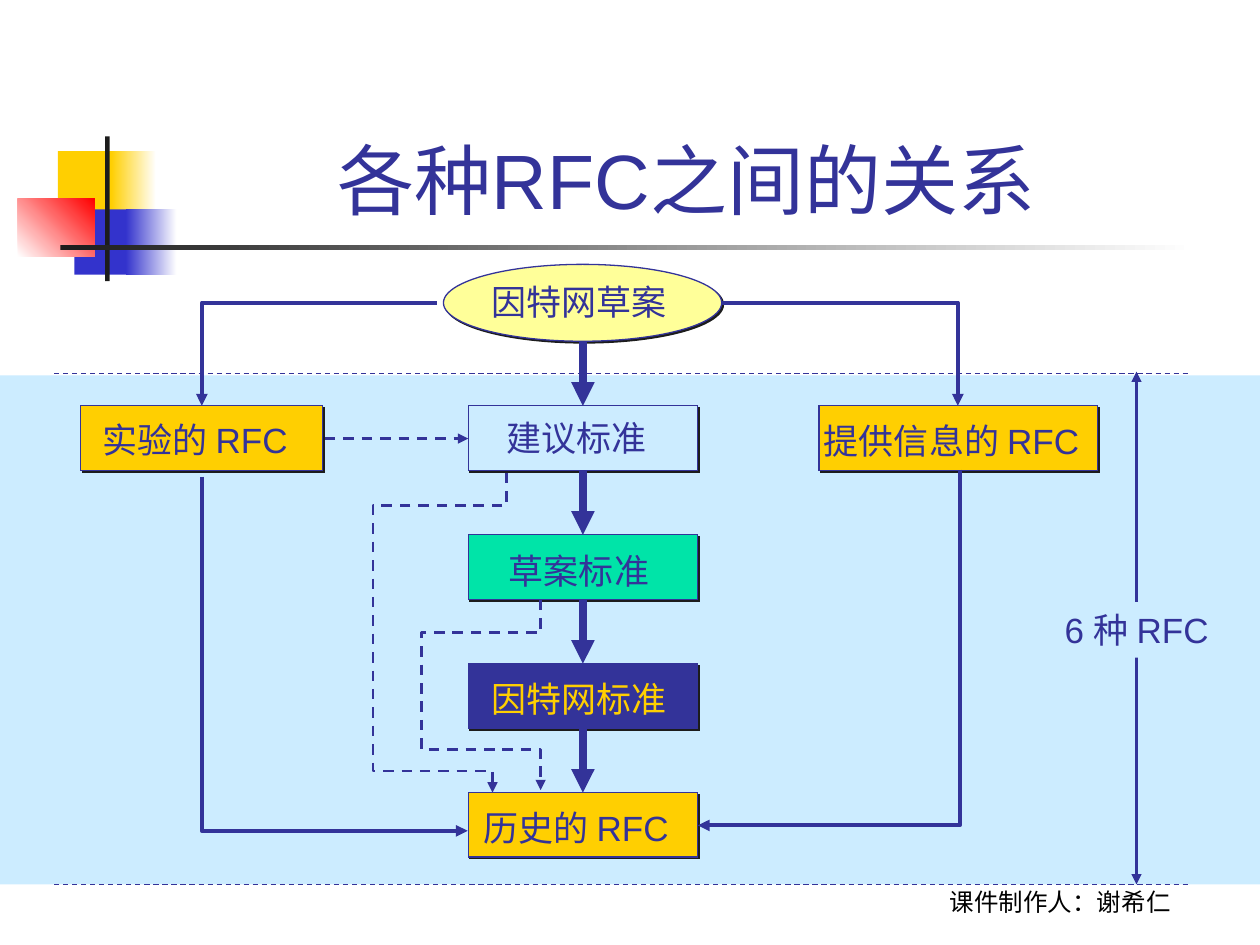
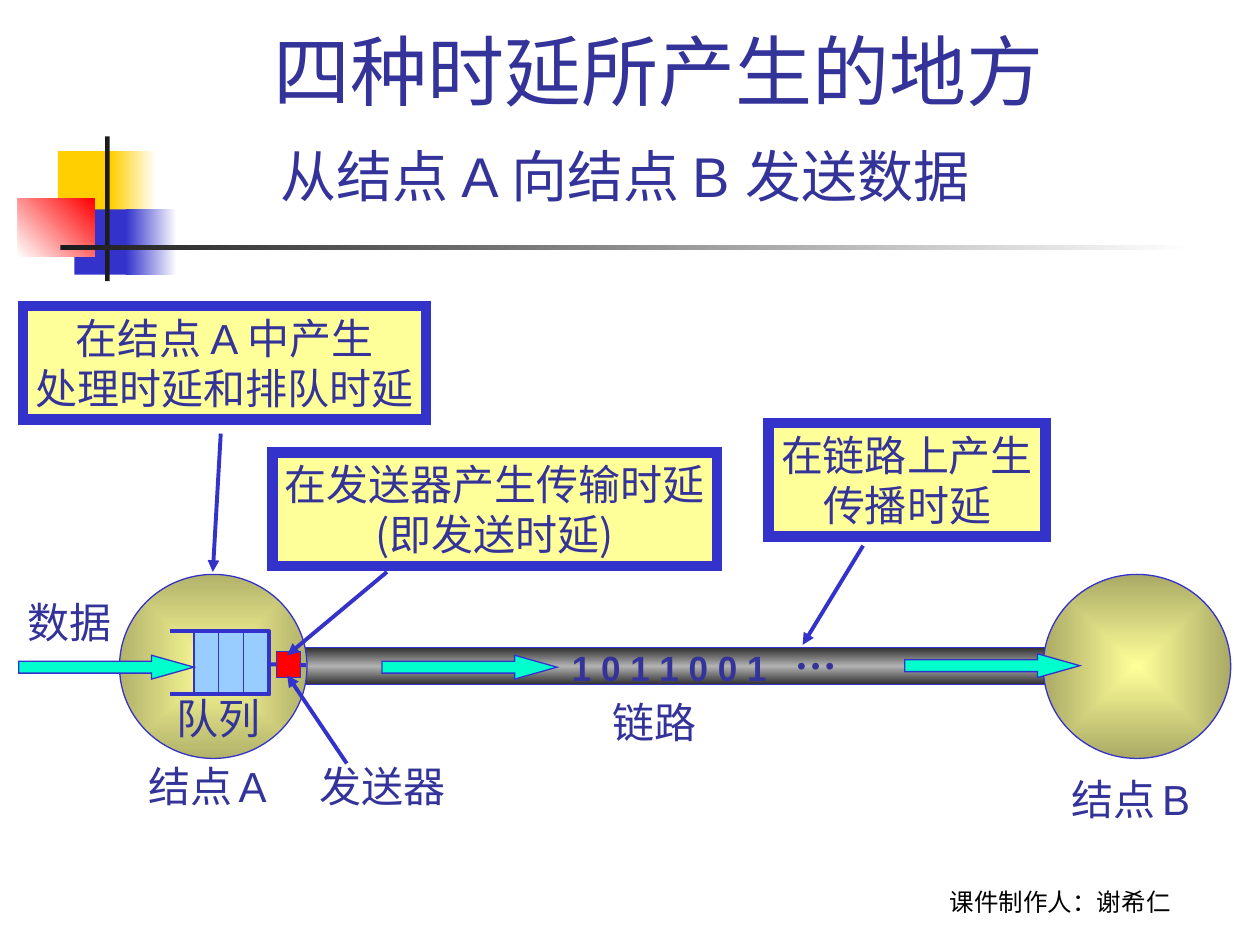
"""Build two networking slides: how RFCs relate and where delays arise."""
from dataclasses import dataclass

from pptx import Presentation
from pptx.dml.color import RGBColor
from pptx.enum.dml import MSO_LINE_DASH_STYLE as Dash
from pptx.enum.lang import MSO_LANGUAGE_ID as Language
from pptx.enum.shapes import MSO_CONNECTOR as Connector, MSO_SHAPE as Shape
from pptx.enum.text import MSO_ANCHOR as Anchor, MSO_AUTO_SIZE as AutoSize, PP_ALIGN as Align
from pptx.oxml import parse_xml
from pptx.oxml.ns import nsdecls, qn
from pptx.util import Cm, Pt


@dataclass(frozen=True)
class Theme:
    ink: str = "333399"
    blue: str = "3333CC"
    gold: str = "FFCF01"
    red: str = "FF0000"
    dark: str = "1C1C1C"
    white: str = "FFFFFF"
    black: str = "000000"
    sky: str = "CCECFF"
    green: str = "00E4A8"
    yellow: str = "FFFF99"
    queue: str = "99CCFF"
    aqua: str = "00FFCC"
    olive_a: str = "B2B26B"
    olive_b: str = "AAAA66"
    tube_edge: str = "313131"
    tube_core: str = "B2B2B2"
    sans: str = "Arial"
    serif: str = "Times New Roman"
    chinese: str = "Noto Sans CJK SC"
    footer: str = "Roboto"
    title_size: int = 44
    subtitle_size: int = 32
    label_size: int = 24
    node_size: int = 20
    gap_size: int = 16
    footer_size: int = 14


@dataclass(frozen=True)
class Gradient:
    colors: tuple
    angle: int | None = 0


T = Theme()
WIDTH, HEIGHT = 25.4, 19.05

DECORATION = [
    ((1.17, 3.05, 1.22, 1.32), T.gold),
    ((2.24, 3.05, 0.91, 1.32), Gradient((T.gold, T.white))),
    ((1.5, 4.22, 1.17, 1.32), T.blue),
    ((2.54, 4.22, 1.02, 1.32), Gradient((T.blue, T.white))),
    ((0.36, 4.01, 1.55, 1.17), Gradient((T.white, T.red), 315)),
    ((2.12, 2.75, 0.09, 2.92), T.dark),
    ((1.22, 4.94, 22.86, 0.1), Gradient((T.dark, T.white))),
]
FOOTER = "课件制作人：谢希仁"

BAND_TOP, BAND_BOTTOM = 7.57, 17.83
TRACK_LEFT, TRACK_WIDTH, TRACK_TOP, TRACK_STEP = 9.44, 4.62, 8.18, 2.6
NODE_HEIGHT = 1.3
DRAFT = (8.94, 5.33, 5.61, 1.55)
TRACK_FILLS = [T.sky, T.green, T.ink, T.gold]
SIDE_NODES = [(16.51, 5.61), (1.63, 4.88)]
SOLID_ROUTES = [
    [(14.55, 6.1), (19.31, 6.1), (19.31, 8.18)],
    [(8.81, 6.1), (4.07, 6.1), (4.07, 8.18)],
    [(4.07, 9.61), (4.07, 16.75), (9.43, 16.75)],
    [(19.35, 9.47), (19.35, 16.64), (14.07, 16.64)],
]
DASHED_ROUTES = [
    [(10.21, 9.53), (10.21, 10.19), (7.52, 10.19), (7.52, 15.54),
     (9.93, 15.54), (9.93, 15.98)],
    [(10.9, 12.09), (10.9, 12.75), (8.5, 12.75), (8.5, 15.11),
     (10.9, 15.11), (10.9, 15.93)],
]
RFC_LABELS = [
    ("因特网草案", 9.65, 5.54, 4.04, T.ink, None),
    ("建议标准", 9.96, 8.28, 3.33, T.ink, None),
    ("草案标准", 10.01, 10.95, 3.33, T.ink, None),
    ("因特网标准", 9.65, 13.54, 4.04, T.gold, T.ink),
    ("历史的 RFC", 9.5, 16.13, 4.4, T.ink, None),
    ("实验的 RFC", 1.82, 8.31, 4.4, T.ink, None),
    ("提供信息的 RFC", 16.36, 8.33, 5.82, T.ink, None),
    ("6 种 RFC", 21.21, 12.14, 3.76, T.ink, T.sky),
]

HOSTS = [(2.41, T.olive_a), (21.03, T.olive_b)]
QUEUE_LEFT, QUEUE_TOP, QUEUE_BOTTOM, QUEUE_STEP = 3.91, 12.73, 14.0, 0.5
DATA_ARROWS = [(7.7, 13.21), (0.38, 13.21), (18.24, 13.18)]


def host_name(letter):
    return ["结点", (" ", T.sans, T.gap_size), (letter, T.sans, T.label_size)]


DELAY_LABELS = [
    ("发送器", 6.2, 15.21, 3.05),
    ("队列", 3.3, 13.84, 2.2),
    (host_name("B"), 21.36, 15.47, 3.02),
    (host_name("A"), 2.74, 15.21, 3.02),
    ("数据", 0.3, 11.91, 2.2),
    ("链路", 12.1, 13.92, 2.2),
]
CALLOUTS = [
    ((15.49, 8.53, 5.59, 2.29), ["在链路上产生", "传播时延"]),
    ((5.49, 9.12, 8.97, 2.29), ["在发送器产生传输时延", "(即发送时延)"]),
    ((0.46, 6.17, 8.13, 2.29),
     [["在结点 ", ("A ", T.sans, T.label_size), "中产生"], "处理时延和排队时延"]),
]
POINTERS = [
    ((17.4, 11.0), (16.18, 13.0)),
    ((7.8, 11.53), (5.79, 13.21)),
    ((6.99, 15.39), (5.79, 13.61)),
    ((4.45, 8.74), (4.29, 11.53)),
]


def rgb(color):
    return RGBColor.from_string(color)


def paint(shape, fill):
    if fill is None:
        shape.fill.background()
    elif isinstance(fill, Gradient):
        last = len(fill.colors) - 1
        stops = "".join(
            f'<a:gs pos="{100000 * i // last}"><a:srgbClr val="{color}"/></a:gs>'
            for i, color in enumerate(fill.colors))
        if fill.angle is None:
            direction = ('<a:path path="rect"><a:fillToRect l="50000" t="50000" '
                         'r="50000" b="50000"/></a:path>')
        else:
            direction = f'<a:lin ang="{fill.angle * 60000}" scaled="0"/>'
        shape.fill.background()
        properties = shape._element.spPr
        properties.replace(properties.find(qn("a:noFill")), parse_xml(
            f'<a:gradFill {nsdecls("a")} rotWithShape="1">'
            f'<a:gsLst>{stops}</a:gsLst>{direction}</a:gradFill>'))
    else:
        shape.fill.solid()
        shape.fill.fore_color.rgb = rgb(fill)


def outline(line, color, width, dashed=False, ends=()):
    line.color.rgb = rgb(color)
    line.width = Pt(width)
    if dashed:
        line.dash_style = Dash.DASH
    for end in ends:
        line._get_or_add_ln().append(
            parse_xml(f'<a:{end} {nsdecls("a")} type="triangle"/>'))


def add_shape(slide, kind, box, fill, line=None, width=0.75):
    shape = slide.shapes.add_shape(kind, *map(Cm, box))
    shape.shadow.inherit = False
    paint(shape, fill)
    if line:
        outline(shape.line, line, width)
        shape.line._get_or_add_ln().append(
            parse_xml(f'<a:miter {nsdecls("a")} lim="800000"/>'))
    else:
        shape.line.fill.background()
    return shape


def add_node(slide, kind, box, fill):
    shape = add_shape(slide, kind, box, fill, T.ink)
    shape._element.spPr.find(qn("a:effectLst")).append(parse_xml(
        f'<a:outerShdw {nsdecls("a")} blurRad="0" dist="17960" dir="2700000" '
        f'algn="ctr" rotWithShape="0"><a:srgbClr val="{T.dark}"/></a:outerShdw>'))


def add_line(slide, start, end, color, width, dashed=False, ends=()):
    connector = slide.shapes.add_connector(
        Connector.STRAIGHT, *map(Cm, (*start, *end)))
    connector._element.spPr.append(parse_xml(f'<a:effectLst {nsdecls("a")}/>'))
    outline(connector.line, color, width, dashed, ends)


def add_route(slide, points, color, width, dashed=False, ends=("tailEnd",)):
    first, *rest = [(Cm(x), Cm(y)) for x, y in points]
    builder = slide.shapes.build_freeform(*first)
    builder.add_line_segments(rest, close=False)
    route = builder.convert_to_shape()
    route.shadow.inherit = False
    paint(route, None)
    outline(route.line, color, width, dashed, ends)


def write(shape, paragraphs, face, size, color=T.ink, bold=False,
          align=Align.LEFT, anchor=Anchor.TOP, wrap=False):
    frame = shape.text_frame
    frame.word_wrap = wrap
    frame.auto_size = AutoSize.NONE if wrap else AutoSize.SHAPE_TO_FIT_TEXT
    frame.vertical_anchor = anchor
    for index, content in enumerate(paragraphs):
        paragraph = frame.add_paragraph() if index else frame.paragraphs[0]
        paragraph.alignment = align
        font = paragraph.font
        font.name, font.size, font.bold = face, Pt(size), bold
        font.color.rgb = rgb(color)
        for part in [content] if isinstance(content, str) else content:
            run = paragraph.add_run()
            run.font.language_id = Language.SIMPLIFIED_CHINESE
            if isinstance(part, str):
                run.text = part
            else:
                run.text, run.font.name = part[:2]
                run.font.size = Pt(part[2])


def add_text(slide, box, content, face, size, fill=None, **style):
    text_box = slide.shapes.add_textbox(*map(Cm, box))
    if fill:
        paint(text_box, fill)
    write(text_box, [content], face, size, **style)


def start_slide(presentation, title, title_box):
    slide = presentation.slides.add_slide(presentation.slide_layouts[6])
    for box, fill in DECORATION:
        add_shape(slide, Shape.RECTANGLE, box, fill)
    centred = dict(align=Align.CENTER, anchor=Anchor.BOTTOM, wrap=True)
    add_text(slide, (17.35, 17.32, 8.05, 1.27), FOOTER, T.footer, T.footer_size,
             color=T.black, **centred)
    add_text(slide, title_box, title, T.sans, T.title_size, **centred)
    return slide


def build_rfc_slide(presentation):
    slide = start_slide(presentation, "各种RFC之间的关系", (3.02, 0.6, 21.64, 4.06))
    add_shape(slide, Shape.RECTANGLE,
              (0, BAND_TOP, WIDTH, BAND_BOTTOM - BAND_TOP), T.sky)
    tops = [TRACK_TOP + TRACK_STEP * i for i in range(len(TRACK_FILLS))]
    for top, fill in zip(tops, TRACK_FILLS):
        add_node(slide, Shape.RECTANGLE,
                 (TRACK_LEFT, top, TRACK_WIDTH, NODE_HEIGHT), fill)
    for left, width in SIDE_NODES:
        add_node(slide, Shape.RECTANGLE, (left, TRACK_TOP, width, NODE_HEIGHT), T.gold)
    add_node(slide, Shape.OVAL, DRAFT, T.yellow)

    middle = TRACK_LEFT + TRACK_WIDTH / 2
    bottoms = [DRAFT[1] + DRAFT[3]] + [top + NODE_HEIGHT for top in tops]
    for bottom, top in zip(bottoms, tops):
        add_line(slide, (middle, bottom), (middle, top), T.ink, 4.5, ends=["tailEnd"])
    for points in SOLID_ROUTES:
        add_route(slide, points, T.ink, 2.25)
    add_line(slide, (6.55, 8.84), (TRACK_LEFT, 8.84), T.ink, 1.5, True, ["tailEnd"])
    for points in DASHED_ROUTES:
        add_route(slide, points, T.ink, 1.5, True)
    for y in (7.53, BAND_BOTTOM):
        add_line(slide, (1.09, y), (23.98, y), T.ink, 0.75, True)
    add_line(slide, (22.91, 7.49), (22.91, BAND_BOTTOM), T.ink, 1.5,
             ends=["headEnd", "tailEnd"])
    for text, left, top, width, color, fill in RFC_LABELS:
        add_text(slide, (left, top, width, 1.12), text, T.sans, T.node_size,
                 fill, color=color)


def build_delay_slide(presentation):
    slide = start_slide(presentation, "四种时延所产生的地方", (3.32, 0.33, 19.91, 2.13))
    add_shape(slide, Shape.RECTANGLE, (5.94, 13.06, 15.34, 0.74),
              Gradient((T.tube_edge, T.tube_core, T.tube_edge), 90), T.blue)
    for left, edge in HOSTS:
        add_shape(slide, Shape.OVAL, (left, 11.58, 3.78, 3.71),
                  Gradient((T.yellow, edge), None), T.blue)

    add_shape(slide, Shape.RECTANGLE,
              (QUEUE_LEFT, QUEUE_TOP, 3 * QUEUE_STEP, QUEUE_BOTTOM - QUEUE_TOP),
              T.queue, T.blue)
    add_route(slide, [(3.43, QUEUE_TOP), (5.43, QUEUE_TOP),
                      (5.43, QUEUE_BOTTOM), (3.43, QUEUE_BOTTOM)], T.blue, 2.25, ends=())
    for i in range(3):
        x = QUEUE_LEFT + QUEUE_STEP * i
        add_line(slide, (x, QUEUE_TOP), (x, QUEUE_BOTTOM), T.blue, 0.75)
    add_line(slide, (5.41, 13.39), (6.17, 13.41), T.blue, 2.25)
    add_shape(slide, Shape.RECTANGLE, (5.58, 13.13, 0.48, 0.53), T.red, T.blue)

    for left, top in DATA_ARROWS:
        arrow = add_shape(slide, Shape.RIGHT_ARROW, (left, top, 3.53, 0.48),
                          T.aqua, T.blue)
        arrow.adjustments[0], arrow.adjustments[1] = 0.5, 1.78
    add_text(slide, (11.28, 12.9, 4.45, 1.12), "1 0 1 1 0 0 1", T.sans,
             T.node_size, bold=True)
    add_text(slide, (15.77, 12.52, 1.35, 1.27), "…", T.serif, T.label_size, bold=True)
    for content, left, top, width in DELAY_LABELS:
        add_text(slide, (left, top, width, 1.27), content, T.serif, T.label_size)
    for box, lines in CALLOUTS:
        callout = add_shape(slide, Shape.RECTANGLE, box, T.yellow, T.blue, 6)
        write(callout, lines, T.chinese, T.label_size, align=Align.CENTER)
    for start, end in POINTERS:
        add_line(slide, start, end, T.blue, 2.25, ends=["tailEnd"])
    add_text(slide, (5.41, 2.72, 15.52, 1.63), "从结点 A 向结点 B 发送数据",
             T.sans, T.subtitle_size)


def main():
    presentation = Presentation()
    presentation.slide_width, presentation.slide_height = Cm(WIDTH), Cm(HEIGHT)
    build_rfc_slide(presentation)
    build_delay_slide(presentation)
    presentation.save("out.pptx")


if __name__ == "__main__":
    main()
